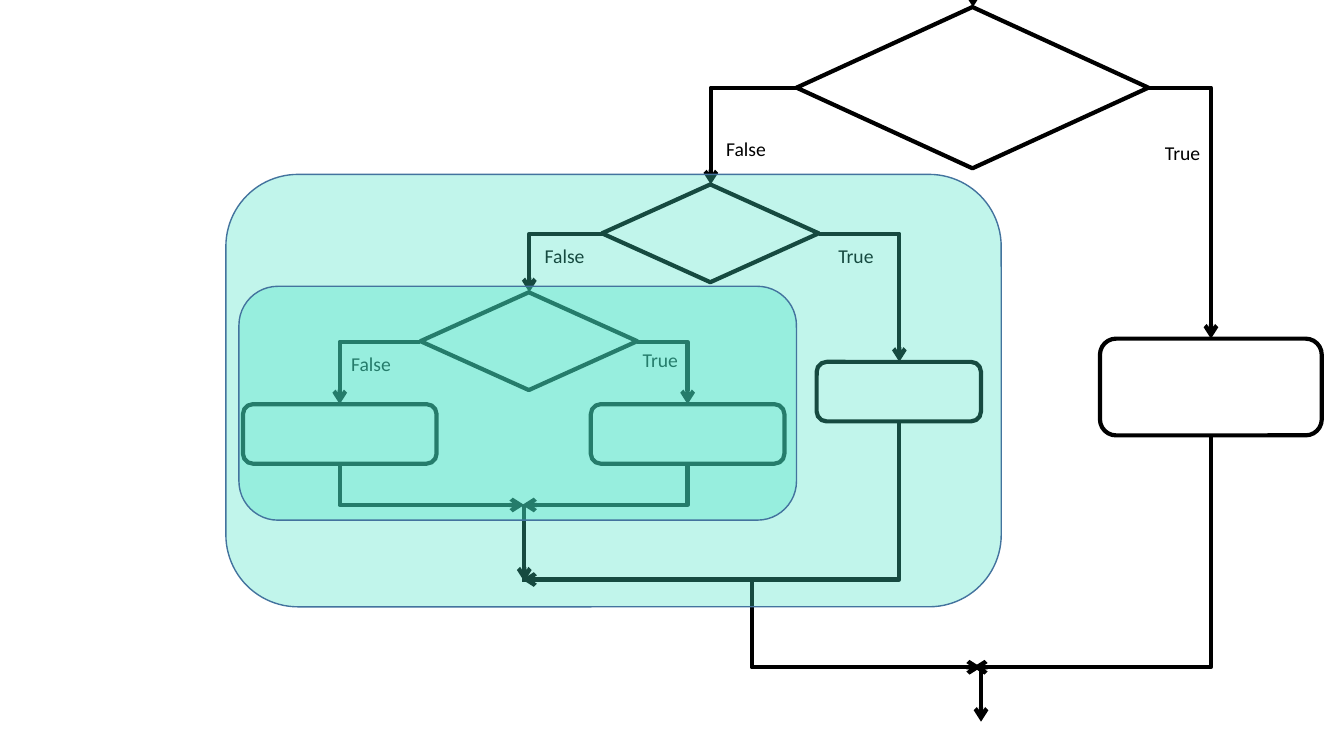
"""Build a slide of nested if/else decisions as a flowchart with shaded inner blocks."""
from dataclasses import dataclass

from lxml import etree
from pptx import Presentation
from pptx.dml.color import RGBColor
from pptx.enum.shapes import MSO_CONNECTOR, MSO_SHAPE
from pptx.enum.text import MSO_ANCHOR, PP_ALIGN
from pptx.oxml.ns import qn
from pptx.util import Emu, Pt

PX = 9144
DECISION = MSO_SHAPE.FLOWCHART_DECISION
PROCESS = MSO_SHAPE.FLOWCHART_ALTERNATE_PROCESS
PANEL = MSO_SHAPE.ROUNDED_RECTANGLE
STRAIGHT, ELBOW = MSO_CONNECTOR.STRAIGHT, MSO_CONNECTOR.ELBOW
MIDDLE, CENTER = MSO_ANCHOR.MIDDLE, PP_ALIGN.CENTER


@dataclass(frozen=True)
class Theme:
    ink: str = "000000"
    panel: str = "44E2C4"
    panel_line: str = "43739E"
    panel_alpha: int = 33
    font: str = "Calibri"
    label_size: int = 14
    flow_width: int = 3
    panel_width: int = 1


def px(*lengths):
    return [Emu(n * PX) for n in lengths]


def write(sp, text, font, size, color, align=CENTER, anchor=MIDDLE):
    tf = sp.text_frame
    tf.vertical_anchor = anchor
    p = tf.paragraphs[0]
    p.alignment = align
    r = p.add_run()
    r.text = text
    r.font.name = font
    r.font.size = Pt(size)
    r.font.color.rgb = RGBColor.from_string(color)


class Flowchart:
    def __init__(self, slide, theme):
        self.slide, self.theme = slide, theme

    def shape(self, kind, x, y, w, h):
        sp = self.slide.shapes.add_shape(kind, *px(x, y, w, h))
        sp.shadow.inherit = False
        sp.fill.background()
        return sp

    def stroke(self, line, color, width):
        line.color.rgb = RGBColor.from_string(color)
        line.width = Pt(width)

    def node(self, kind, x, y, w, h):
        sp = self.shape(kind, x, y, w, h)
        self.stroke(sp.line, self.theme.ink, self.theme.flow_width)

    def label(self, text, x, y):
        sp = self.shape(PROCESS, x, y, 116, 48)
        sp.line.fill.background()
        write(sp, text, self.theme.font, self.theme.label_size, self.theme.ink)

    def panel(self, x, y, w, h):
        sp = self.shape(PANEL, x, y, w, h)
        sp.fill.solid()
        sp.fill.fore_color.rgb = RGBColor.from_string(self.theme.panel)
        color = sp.fill._xPr.find(qn("a:solidFill"))[0]
        etree.SubElement(color, qn("a:alpha"), val=str(self.theme.panel_alpha * 1000))
        self.stroke(sp.line, self.theme.panel_line, self.theme.panel_width)

    def arrow(self, x1, y1, x2, y2, kind=STRAIGHT, end="a:tailEnd"):
        c = self.slide.shapes.add_connector(kind, *px(x1, y1, x2, y2))
        self.stroke(c.line, self.theme.ink, self.theme.flow_width)
        etree.SubElement(c.line._get_or_add_ln(), qn(end), type="arrow")
        etree.SubElement(c._element.spPr, qn("a:effectLst"))
        return c

    def corner(self, x1, y1, x2, y2, end="a:tailEnd"):
        c = self.arrow(x1, y1, x2, y2, ELBOW, end)
        c._element.spPr.find(qn("a:prstGeom")).set("prst", "bentConnector2")

    def branch(self, x1, y1, x2, y2):
        self.corner(x1, y1, x2, y2)

    def merge(self, x1, y1, x2, y2):
        self.corner(x2, y2, x1, y1, "a:headEnd")


def main():
    prs = Presentation()
    prs.slide_width, prs.slide_height = px(1333, 750)
    chart = Flowchart(prs.slides.add_slide(prs.slide_layouts[6]), Theme())

    for box in [(790, 7, 349, 160), (597, 183, 215, 97), (417, 290, 215, 97)]:
        chart.node(DECISION, *box)
    for box in [(1091, 336, 220, 96), (810, 359, 163, 59),
                (241, 401, 192, 59), (586, 401, 192, 59)]:
        chart.node(PROCESS, *box)

    for route in [(790, 87, 705, 183), (1139, 87, 1201, 336),
                  (597, 232, 525, 290), (812, 232, 892, 359),
                  (417, 339, 337, 401), (632, 339, 682, 401)]:
        chart.branch(*route)
    for route in [(337, 460, 520, 501), (682, 460, 518, 501),
                  (892, 418, 518, 575), (1201, 431, 965, 662)]:
        chart.merge(*route)
    for route in [(965, -49, 965, 7), (520, 501, 520, 577), (973, 662, 973, 716)]:
        chart.arrow(*route)
    chart.arrow(518, 575, 973, 662, ELBOW)

    for text, x, y in [("False", 682, 123), ("True", 1115, 127),
                       ("False", 502, 230), ("True", 791, 230),
                       ("False", 310, 337), ("True", 597, 333)]:
        chart.label(text, x, y)

    chart.panel(224, 173, 769, 429)
    chart.panel(237, 284, 553, 232)
    prs.save("out.pptx")


if __name__ == "__main__":
    main()
